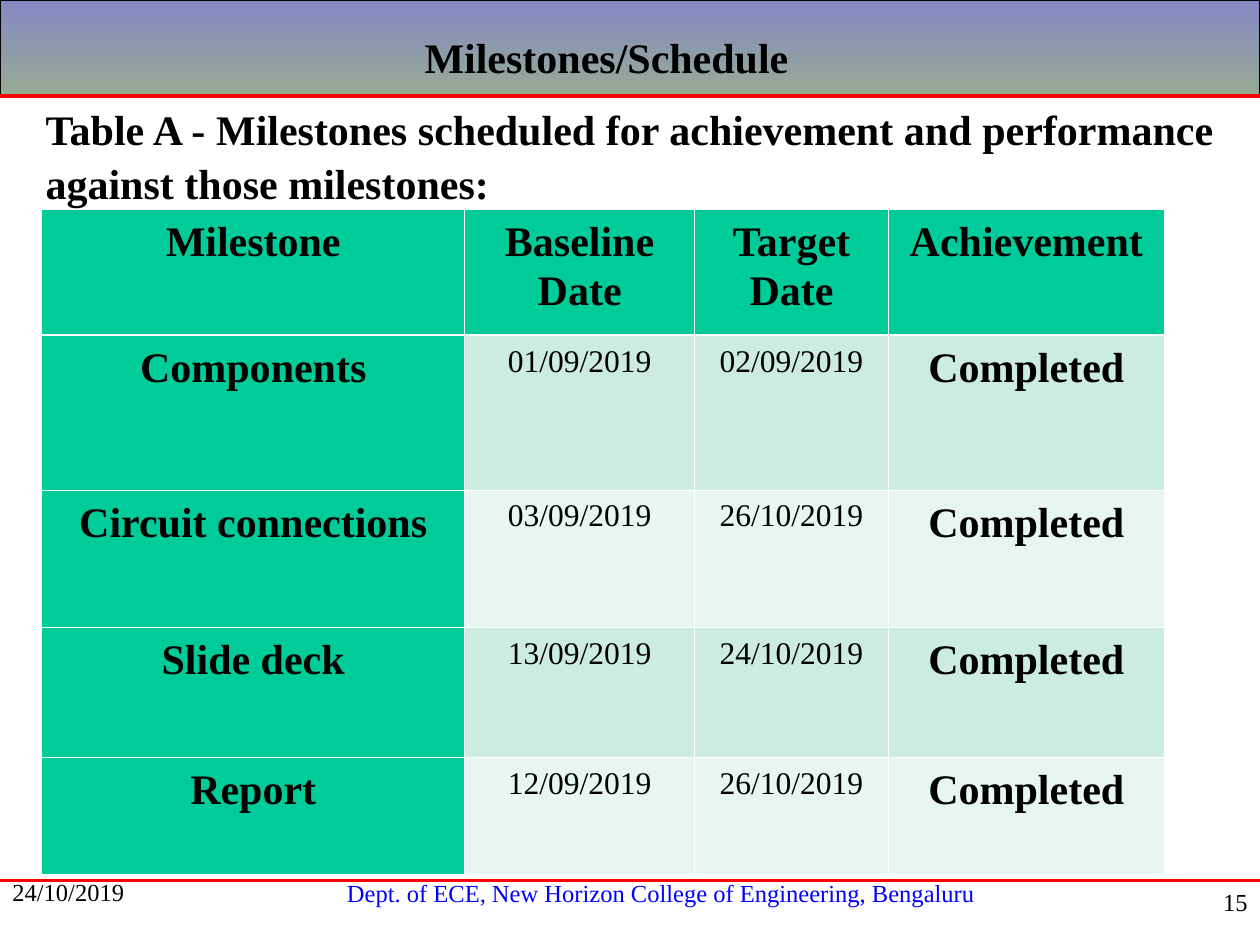
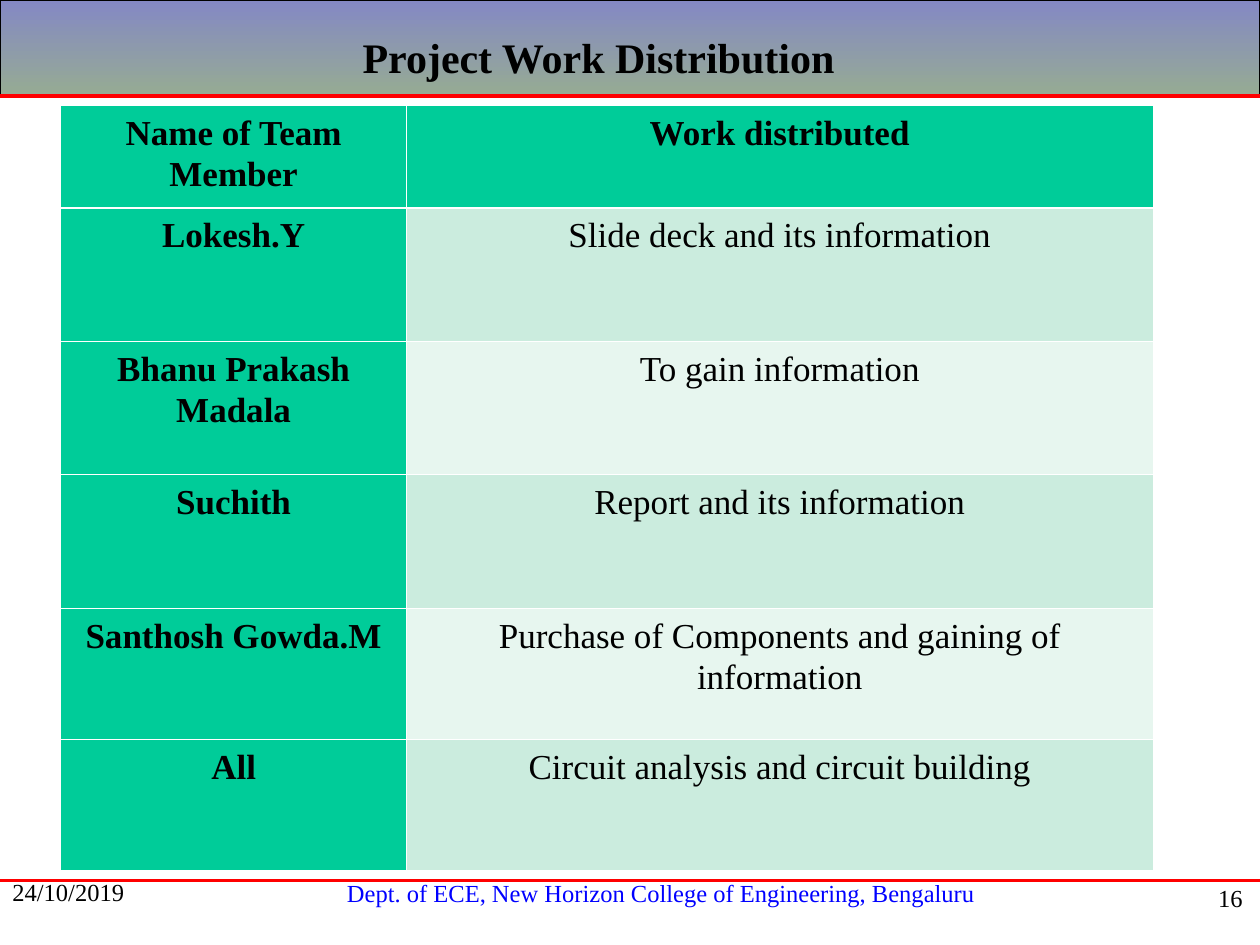
from dataclasses import dataclass

import pptx
import pptx.dml.color
import pptx.enum.shapes
import pptx.enum.text
import pptx.oxml
import pptx.oxml.ns
import pptx.util
from pptx.util import Cm

FONT = "Times New Roman"
BLACK, WHITE, RED, BLUE = "000000", "FFFFFF", "FF0000", "0000FF"
BAND_TOP, BAND_BOTTOM = "8488C4", "96AB94"
HEADER_GREEN = "00CC99"
ROW_FILLS = ("CBECDE", "E7F6EF")
THIN_BORDER, HEADER_BORDER = 0.45, 1.47
SLIDE_WIDTH, SLIDE_HEIGHT = 25.4, 19.05
ALIGN = pptx.enum.text.PP_ALIGN


@dataclass(frozen=True)
class Box:
    """A rectangle in centimetres."""
    left: float
    top: float
    width: float
    height: float

    def lengths(self) -> tuple:
        return Cm(self.left), Cm(self.top), Cm(self.width), Cm(self.height)


@dataclass(frozen=True)
class Column:
    width: float
    size: float
    bold: bool


@dataclass(frozen=True)
class TableContent:
    left: float
    top: float
    header_size: float
    columns: list[Column]
    row_heights: list[float]
    rows: list[list[str]]


@dataclass(frozen=True)
class SlideContent:
    title: str
    title_left: float
    number: str
    number_box: Box
    table: TableContent
    lead: str = ""


SLIDES = [
    SlideContent(
        title="Milestones/Schedule",
        title_left=8.31,
        number="15",
        number_box=Box(20.12, 17.75, 5.28, 1.27),
        lead="Table A - Milestones scheduled for achievement and performance "
             "against those milestones:",
        table=TableContent(
            left=0.84, top=4.22, header_size=24,
            columns=[Column(8.53, 24, True), Column(4.63, 18, False),
                     Column(3.91, 18, False), Column(5.56, 24, True)],
            row_heights=[2.54, 3.12, 2.77, 2.62, 2.35],
            rows=[
                ["Milestone", "Baseline Date", "Target Date", "Achievement"],
                ["Components", "01/09/2019", "02/09/2019", "Completed"],
                ["Circuit connections", "03/09/2019", "26/10/2019", "Completed"],
                ["Slide deck", "13/09/2019", "24/10/2019", "Completed"],
                ["Report", "12/09/2019", "26/10/2019", "Completed"],
            ],
        ),
    ),
    SlideContent(
        title="Project Work Distribution",
        title_left=7.06,
        number="16",
        number_box=Box(20.02, 17.68, 5.28, 1.27),
        table=TableContent(
            left=1.22, top=2.12, header_size=20,
            columns=[Column(6.98, 20, True), Column(15.04, 20, False)],
            row_heights=[2.03, 2.69, 2.69, 2.69, 2.64, 2.64],
            rows=[
                ["Name of Team Member", "Work distributed"],
                ["Lokesh.Y", "Slide deck and its information"],
                ["Bhanu Prakash Madala", "To gain information"],
                ["Suchith", "Report and its information"],
                ["Santhosh Gowda.M", "Purchase of Components and gaining of information"],
                ["All", "Circuit analysis and circuit building"],
            ],
        ),
    ),
]


def color(value: str) -> pptx.dml.color.RGBColor:
    return pptx.dml.color.RGBColor.from_string(value)


def write_text(frame, text: str, *, size: float, bold: bool = False,
               ink: str = BLACK, align=ALIGN.LEFT, line_spacing: float = 1.0,
               space_after: float = 0) -> None:
    frame.word_wrap = True
    paragraph = frame.paragraphs[0]
    paragraph.alignment = align
    paragraph.line_spacing = line_spacing
    paragraph.space_after = pptx.util.Pt(space_after)
    run = paragraph.add_run()
    run.text = text
    run.font.name = FONT
    run.font.size = pptx.util.Pt(size)
    run.font.bold = bold
    run.font.color.rgb = color(ink)


def add_text(slide, box: Box, text: str, *, left_inset: float = 0.25, **text_format) -> None:
    frame = slide.shapes.add_textbox(*box.lengths()).text_frame
    frame.margin_left = Cm(left_inset)
    write_text(frame, text, **text_format)


def add_rule(slide, top: float, width: float) -> None:
    """Draw a red line across the whole slide."""
    connector = slide.shapes.add_connector(
        pptx.enum.shapes.MSO_CONNECTOR.STRAIGHT,
        Cm(0), Cm(top), Cm(SLIDE_WIDTH), Cm(top))
    connector.line.color.rgb = color(RED)
    connector.line.width = pptx.util.Pt(width)
    properties = connector._element.spPr
    properties.append(pptx.oxml.parse_xml(
        f"<a:effectLst {pptx.oxml.ns.nsdecls('a')}/>"))


def add_title_band(slide) -> None:
    band = slide.shapes.add_shape(
        pptx.enum.shapes.MSO_SHAPE.RECTANGLE,
        *Box(0, 0, SLIDE_WIDTH, 1.9).lengths())
    band.shadow.inherit = False
    band.fill.gradient()
    band.fill.gradient_angle = 270
    for stop, position, shade in zip(band.fill.gradient_stops, (0, 1), (BAND_TOP, BAND_BOTTOM)):
        stop.position = position
        stop.color.rgb = color(shade)
    band.line.color.rgb = color(BLACK)
    band.line.width = pptx.util.Pt(0.75)


def set_borders(cell, top: float, bottom: float) -> None:
    """Give a cell white borders; top and bottom widths are in points."""
    properties = cell._tc.get_or_add_tcPr()
    widths = {"lnL": THIN_BORDER, "lnR": THIN_BORDER, "lnT": top, "lnB": bottom}
    for tag, width in widths.items():
        properties.append(pptx.oxml.parse_xml(
            f'<a:{tag} {pptx.oxml.ns.nsdecls("a")} w="{pptx.util.Pt(width)}">'
            f'<a:solidFill><a:srgbClr val="{WHITE}"/></a:solidFill></a:{tag}>'))


def add_table(slide, content: TableContent) -> None:
    box = Box(content.left, content.top,
              sum(column.width for column in content.columns), sum(content.row_heights))
    table = slide.shapes.add_table(
        len(content.rows), len(content.columns), *box.lengths()).table
    for table_column, column in zip(table.columns, content.columns):
        table_column.width = Cm(column.width)
    for row_index, (height, texts) in enumerate(zip(content.row_heights, content.rows)):
        table.rows[row_index].height = Cm(height)
        is_header = row_index == 0
        for column_index, (column, text) in enumerate(zip(content.columns, texts)):
            cell = table.cell(row_index, column_index)
            cell.margin_left = cell.margin_right = Cm(0.16)
            set_borders(cell,
                        top=HEADER_BORDER if row_index == 1 else THIN_BORDER,
                        bottom=HEADER_BORDER if is_header else THIN_BORDER)
            is_green = is_header or column_index == 0
            cell.fill.solid()
            cell.fill.fore_color.rgb = color(
                HEADER_GREEN if is_green else ROW_FILLS[(row_index - 1) % 2])
            write_text(cell.text_frame, text,
                       size=content.header_size if is_header else column.size,
                       bold=is_header or column.bold,
                       align=ALIGN.CENTER, line_spacing=1.07, space_after=3)


def add_frame(slide) -> None:
    """Draw the band, rules and footer that every slide shares."""
    add_title_band(slide)
    add_rule(slide, 1.93, 2.25)
    add_text(slide, Box(4.34, 17.58, 17.98, 0.86),
             "Dept. of ECE, New Horizon College of Engineering, Bengaluru",
             size=14, ink=BLUE, align=ALIGN.CENTER)
    add_rule(slide, 17.75, 1.5)
    add_text(slide, Box(0, 17.55, 5.28, 1.27), "24/10/2019", size=14)


def add_slide(presentation, content: SlideContent) -> None:
    slide = presentation.slides.add_slide(presentation.slide_layouts[6])
    add_frame(slide)
    if content.lead:
        add_text(slide, Box(-0.3, 1.9, 25.02, 2.29), content.lead, left_inset=1.22,
                 size=24, bold=True, align=ALIGN.JUSTIFY, line_spacing=1.07)
    add_text(slide, Box(content.title_left, 0.43, 10.3, 1.35), content.title,
             size=24, bold=True, line_spacing=1.07)
    add_table(slide, content.table)
    add_text(slide, content.number_box, content.number, size=14, align=ALIGN.RIGHT)


def main() -> None:
    presentation = pptx.Presentation()
    presentation.slide_width = Cm(SLIDE_WIDTH)
    presentation.slide_height = Cm(SLIDE_HEIGHT)
    for content in SLIDES:
        add_slide(presentation, content)
    presentation.save("out.pptx")


if __name__ == "__main__":
    main()
